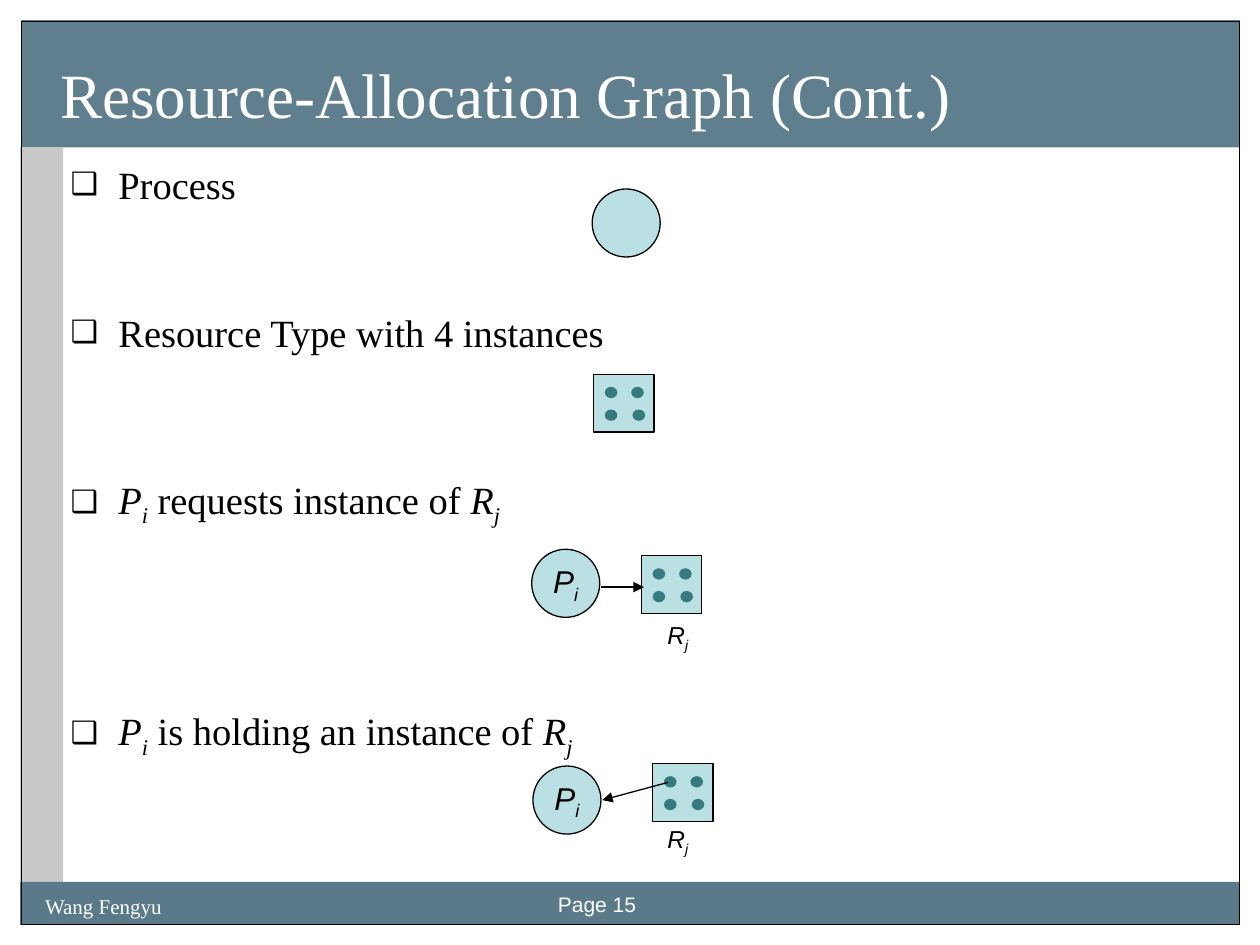
import collections
import pptx
import pptx.dml.color
import pptx.enum.shapes
import pptx.enum.text
import pptx.oxml
import pptx.oxml.ns
import pptx.util

CELL = pptx.util.Inches(0.01)
KIND = pptx.enum.shapes.MSO_SHAPE
ALIGN = pptx.enum.text.PP_ALIGN
ANCHOR = pptx.enum.text.MSO_ANCHOR
Box = collections.namedtuple("Box", "col row wide high")
Theme = collections.namedtuple(
    "Theme", "bar side ink pale fill dot serif sans head list node label foot")
THEME = Theme("3E6376", "C9C9C9", "000000", "FFFFFF", "BBE0E3", "357A7F",
              "Times New Roman", "Arial", 36, 22, 18, 14, 12)
PAGE = Box(0, 0, 1000, 750)
FRAME = Box(17, 17, 967, 717)
PROC = [("P", "i"), ("i", "is")]
RES = [("R", "i"), ("j", "is")]


def part(box, col, row, wide, high):
    return Box(box.col + col, box.row + row, wide, high)


def place(box):
    return [CELL * n for n in box]


def tint(code):
    return pptx.dml.color.RGBColor.from_string(code)


def make(tag, **keys):
    node = pptx.oxml.parse_xml(f"<a:{tag} {pptx.oxml.ns.nsdecls('a')}/>")
    for key, val in keys.items():
        node.set(key, str(val))
    return node


def write(para, text, font=THEME.serif, size=THEME.list, ink=THEME.ink,
          align=ALIGN.LEFT, gap=0):
    para.alignment = align
    para.space_before = pptx.util.Pt(gap)
    for words, style in [(text, "")] if isinstance(text, str) else text:
        run = para.add_run()
        run.text = words
        run.font.name = font
        run.font.size = pptx.util.Pt(size)
        run.font.color.rgb = tint(ink)
        run.font.italic = "i" in style
        if "s" in style:
            run._r.get_or_add_rPr().set("baseline", "-25000")


def shape(shapes, kind, box, fill=None, line=None, alpha=None):
    item = shapes.add_shape(kind, *place(box))
    item.shadow.inherit = False
    if fill:
        item.fill.solid()
        item.fill.fore_color.rgb = tint(fill)
        if alpha:
            item.fill._xPr.solidFill[0].append(make("alpha", val=alpha * 1000))
    else:
        item.fill.background()
    if line:
        item.line.color.rgb = tint(line)
        item.line.width = pptx.util.Pt(0.75)
    else:
        item.line.fill.background()
    return item


def note(shapes, box, text, inset=10, anchor=ANCHOR.TOP, **form):
    frame = shapes.add_textbox(*place(box)).text_frame
    frame.word_wrap = True
    frame.vertical_anchor = anchor
    frame.margin_left = frame.margin_right = CELL * inset
    write(frame.paragraphs[0], text, **form)


def arrow(shapes, start, end):
    ends = [CELL * n for n in (*start, *end)]
    line = shapes.add_connector(pptx.enum.shapes.MSO_CONNECTOR.STRAIGHT, *ends)
    line.line.color.rgb = tint(THEME.ink)
    line.line.width = pptx.util.Pt(0.75)
    line.line._get_or_add_ln().append(make("tailEnd", type="triangle"))
    line._element.spPr.append(make("effectLst"))


def circle(shapes, box, text=None):
    item = shape(shapes, KIND.OVAL, part(box, 0, 0, 54, 54), THEME.fill, THEME.ink)
    if text:
        frame = item.text_frame
        frame.word_wrap = False
        frame.vertical_anchor = ANCHOR.MIDDLE
        write(frame.paragraphs[0], text, font=THEME.sans, size=THEME.node,
              align=ALIGN.CENTER)


def store(shapes, box):
    group = shapes.add_group_shape().shapes
    shape(group, KIND.RECTANGLE, part(box, 0, 0, 48, 46), THEME.fill, THEME.ink)
    for col, row in ((9, 10), (30, 10), (9, 28), (31, 28)):
        shape(group, KIND.OVAL, part(box, col, row, 10, 9), THEME.dot)


def link(shapes, box, spot, name, start, end):
    circle(shapes, box, PROC)
    store(shapes, part(box, *spot, 48, 46))
    arrow(shapes, (box.col + start[0], box.row + start[1]),
          (box.col + end[0], box.row + end[1]))
    note(shapes, part(box, *name, 36, 37), RES, inset=0, anchor=ANCHOR.MIDDLE,
         font=THEME.sans, size=THEME.label, align=ALIGN.CENTER)


def back(shapes, box):
    shape(shapes, KIND.RECTANGLE, part(box, 0, -1, 967, 101), THEME.bar, alpha=82)
    shape(shapes, KIND.RECTANGLE, part(box, -1, 100, 34, 583), THEME.side)
    shape(shapes, KIND.RECTANGLE, part(box, -1, 683, 968, 34), THEME.bar, alpha=85)
    shape(shapes, KIND.RECTANGLE, box, line=THEME.ink)


def seat(holder, box):
    holder.left, holder.top, holder.width, holder.height = place(box)
    holder._element.getparent().append(holder._element)
    frame = holder.text_frame
    frame.auto_size = pptx.enum.text.MSO_AUTO_SIZE.NONE
    frame.word_wrap = True
    return frame


def head(holder, box):
    frame = seat(holder, box)
    frame.vertical_anchor = ANCHOR.BOTTOM
    frame.margin_left, frame.margin_bottom = CELL * 30, CELL * 13
    write(frame.paragraphs[0], "Resource-Allocation Graph (Cont.)",
          size=THEME.head, ink=THEME.pale)


def points(holder, box):
    frame = seat(holder, box)
    items = [
        (0, "Process"),
        (58, "Resource Type with 4 instances"),
        (69, [*PROC, (" requests instance of ", ""), *RES]),
        (102, [*PROC, (" is holding an instance of ", ""), *RES]),
    ]
    for rank, (gap, text) in enumerate(items):
        para = frame.add_paragraph() if rank else frame.paragraphs[0]
        props = para._p.get_or_add_pPr()
        props.set("marL", str(CELL * 38))
        props.set("indent", str(CELL * -38))
        color = make("buClr")
        color.append(make("srgbClr", val=THEME.ink))
        props.extend([color, make("buSzPct", val=80000), make("buChar", char="❑")])
        write(para, text, gap=gap)


def foot(shapes, box):
    note(shapes, part(box, 0, 1, 167, 27), "Wang Fengyu",
         size=THEME.foot, ink=THEME.pale)
    note(shapes, part(box, 407, 0, 150, 27), "Page 15",
         font=THEME.sans, size=THEME.foot, ink=THEME.pale)


def graphs(shapes, box):
    circle(shapes, part(box, 48, 0, 54, 54))
    store(shapes, part(box, 49, 147, 48, 46))
    link(shapes, part(box, 0, 286, 135, 88), spot=(87, 5), name=(98, 51),
         start=(55, 30), end=(89, 30))
    link(shapes, part(box, 1, 458, 143, 78), spot=(95, -2), name=(97, 41),
         start=(107, 13), end=(55, 27))


def main():
    deck = pptx.Presentation()
    deck.slide_width, deck.slide_height = CELL * PAGE.wide, CELL * PAGE.high
    slide = deck.slides.add_slide(deck.slide_layouts[1])
    shapes = slide.shapes
    back(shapes, FRAME)
    foot(shapes, part(PAGE, 26, 703, 557, 28))
    head(shapes.title, part(PAGE, 18, 17, 967, 100))
    points(slide.placeholders[1], part(PAGE, 46, 123, 925, 574))
    graphs(shapes, part(PAGE, 422, 150, 144, 536))
    deck.save("out.pptx")


if __name__ == "__main__":
    main()
